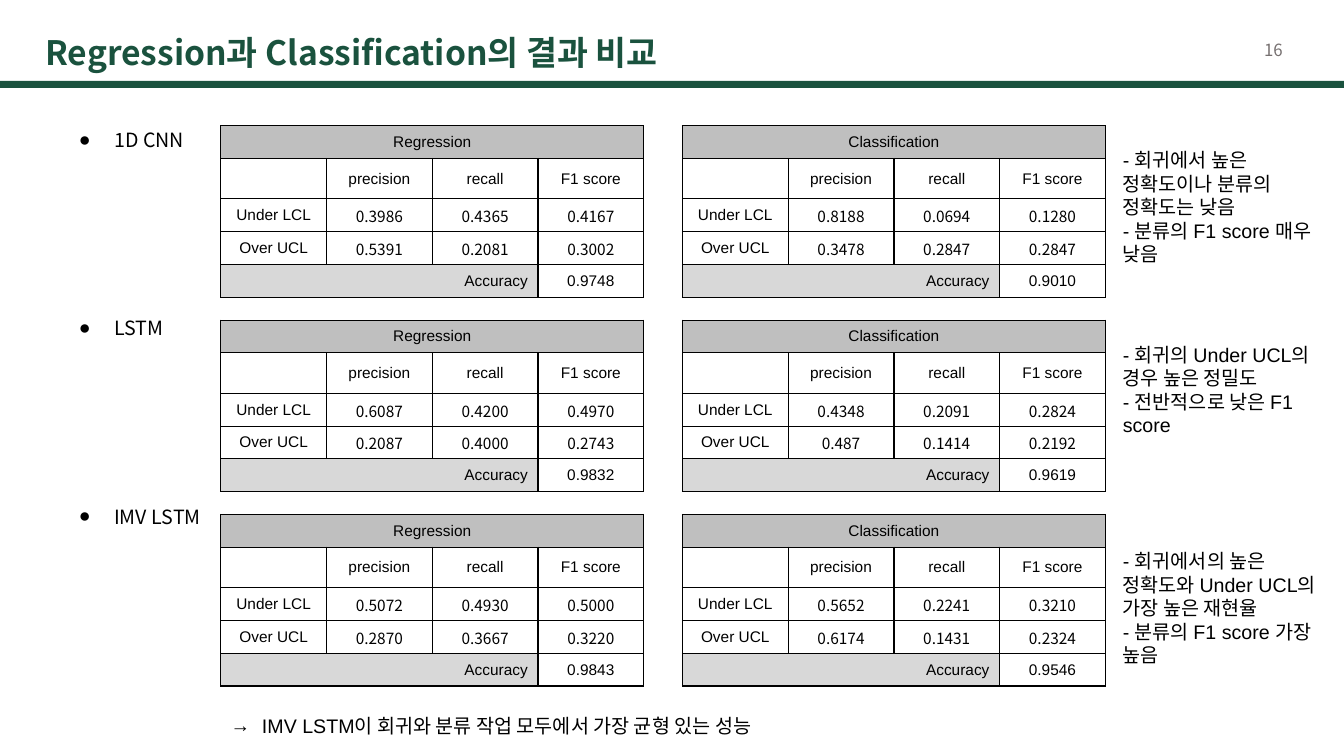
"""Build a slide comparing regression and classification results of three models."""
from lxml.etree import SubElement
from pptx import Presentation
from pptx.dml.color import RGBColor
from pptx.enum.shapes import MSO_SHAPE
from pptx.enum.text import MSO_ANCHOR, MSO_AUTO_SIZE, PP_ALIGN
from pptx.oxml import parse_xml
from pptx.oxml.ns import nsdecls, qn
from pptx.util import Inches, Pt

GREEN = RGBColor(0x1A, 0x52, 0x3E)
BLACK = RGBColor(0, 0, 0)
GREY = RGBColor(0x76, 0x70, 0x70)
HEAD = RGBColor(0xBF, 0xBF, 0xBF)
FOOT = RGBColor(0xD8, 0xD8, 0xD8)
NOTO, ARIAL = "Noto Sans CJK KR", "Arial"
WIDE, HIGH = Inches(13.333), Inches(7.5)


def place(left, top, width, height):
    """Turn percentages of the slide into lengths."""
    return [int(part * side / 100) for part, side in
            zip((left, top, width, height), (WIDE, HIGH, WIDE, HIGH))]


def write(para, text, size, face, color=BLACK, bold=False, mark=None, left=0, hang=0):
    """Add one run to a paragraph, with a bullet if a mark is given."""
    if mark:
        props = para._p.get_or_add_pPr()
        props.set("marL", str(Inches(left)))
        props.set("indent", str(-Inches(hang)))
        tint = SubElement(SubElement(props, qn("a:buClr")), qn("a:srgbClr"))
        tint.set("val", str(BLACK))
        SubElement(props, qn("a:buFont")).set("typeface", ARIAL)
        SubElement(props, qn("a:buChar")).set("char", mark)
    run = para.add_run()
    run.text = text
    run.font.size, run.font.bold = Pt(size), bold
    run.font.color.rgb = color
    run.font.name = face
    SubElement(run._r.get_or_add_rPr(), qn("a:ea")).set("typeface", NOTO)


MODELS = [
    ("1D CNN", (18.93, 17.07),
     ["- 회귀에서 높은 정확도이나 분류의 정확도는 낮음", "- 분류의 F1 score 매우 낮음"],
     [["0.3986", "0.4365", "0.4167", "0.5391", "0.2081", "0.3002", "0.9748"],
      ["0.8188", "0.0694", "0.1280", "0.3478", "0.2847", "0.2847", "0.9010"]]),
    ("LSTM", (44.67, 13.87),
     ["- 회귀의 Under UCL의 경우 높은 정밀도", "- 전반적으로 낮은 F1 score"],
     [["0.6087", "0.4200", "0.4970", "0.2087", "0.4000", "0.2743", "0.9832"],
      ["0.4348", "0.2091", "0.2824", "0.487", "0.1414", "0.2192", "0.9619"]]),
    ("IMV LSTM", (72, 17.07),
     ["- 회귀에서의 높은 정확도와 Under UCL의 가장 높은 재현율", "- 분류의 F1 score 가장 높음"],
     [["0.5072", "0.4930", "0.5000", "0.2870", "0.3667", "0.3220", "0.9843"],
      ["0.5652", "0.2241", "0.3210", "0.6174", "0.1431", "0.2324", "0.9546"]]),
]

deck = Presentation()
deck.slide_width, deck.slide_height = WIDE, HIGH
slide = deck.slides.add_slide(deck.slide_layouts[1])
shapes = slide.shapes

bar = shapes.add_shape(MSO_SHAPE.RECTANGLE, *place(0, 10.7, 100, 0.93))
bar.shadow.inherit = False
bar.fill.solid()
bar.fill.fore_color.rgb = GREEN
bar.line.fill.background()

page = shapes.add_textbox(*place(93.75, 5.2, 2.1, 3.33)).text_frame
page.margin_left = Inches(0.04)
page.margin_right = page.margin_top = page.margin_bottom = 0
write(page.paragraphs[0], "16", 12, NOTO, GREY)

title, body = shapes.title, slide.placeholders[1]
title.left, title.top, title.width, title.height = place(3.38, 4.13, 84.6, 5.6)
body.left, body.top, body.width, body.height = place(4, 15.6, 48.15, 80.13)
for frame, gap in ((title.text_frame, 0), (body.text_frame, Inches(0.1))):
    frame.auto_size = MSO_AUTO_SIZE.NONE
    frame.word_wrap = True
    frame.margin_left = frame.margin_right = gap
    frame.margin_top = frame.margin_bottom = gap
line = title.text_frame.paragraphs[0]
line.alignment = PP_ALIGN.LEFT
write(line, "Regression과 Classification의 결과 비교", 24, NOTO, GREEN, True)

for order, (model, (top, height), notes, scores) in enumerate(MODELS):
    frame = body.text_frame
    line = frame.add_paragraph() if order else frame.paragraphs[0]
    line.space_before = Pt(117.6 if order else 0)
    write(line, model, 14, NOTO, mark="●", left=0.5, hang=0.35)

    frame = shapes.add_textbox(*place(82.8, top, 16.8, height)).text_frame
    frame.word_wrap = True
    for index, note in enumerate(notes):
        line = frame.add_paragraph() if index else frame.paragraphs[0]
        write(line, note, 14, ARIAL)

    for left, task, vals in zip((16.43, 50.78), ("Regression", "Classification"), scores):
        rows = [[task, "", "", ""],
                ["", "precision", "recall", "F1 score"],
                ["Under LCL", *vals[:3]],
                ["Over UCL", *vals[3:6]],
                ["Accuracy", "", "", vals[6]]]
        spot = place(left, 16.62 + 25.72 * order, 31.47, 22.7)
        table = shapes.add_table(5, 4, *spot).table
        table.first_row = table.horz_banding = False
        for index, row in enumerate(table.rows):
            row.height = int(HIGH * (5.35 if index == 1 else 4.34) / 100)
        table.cell(0, 0).merge(table.cell(0, 3))
        table.cell(4, 0).merge(table.cell(4, 2))
        for down, texts in enumerate(rows):
            for across, text in enumerate(texts):
                cell = table.cell(down, across)
                cell.vertical_anchor = MSO_ANCHOR.MIDDLE
                score = down in (2, 3) and across > 0
                if score:
                    cell.margin_left = cell.margin_right = cell.margin_top = Inches(0.01)
                    cell.margin_bottom = 0
                if down == 0 or (down == 4 and across < 3):
                    cell.fill.solid()
                    cell.fill.fore_color.rgb = FOOT if down else HEAD
                else:
                    cell.fill.background()
                props = cell._tc.get_or_add_tcPr()
                for index, side in enumerate(("lnL", "lnR", "lnT", "lnB")):
                    props.insert(index, parse_xml(
                        f'<a:{side} {nsdecls("a")} w="{Pt(1)}"><a:solidFill>'
                        f'<a:srgbClr val="{BLACK}"/></a:solidFill></a:{side}>'))
                if text:
                    line = cell.text_frame.paragraphs[0]
                    line.alignment = PP_ALIGN.RIGHT if text == "Accuracy" else PP_ALIGN.CENTER
                    write(line, text, 11, NOTO if score else ARIAL)

frame = shapes.add_textbox(*place(16.43, 93.73, 65.78, 4.53)).text_frame
frame.word_wrap = True
write(frame.paragraphs[0], "IMV LSTM이 회귀와 분류 작업 모두에서 가장 균형 있는 성능",
      14, ARIAL, mark="→", left=0.31, hang=0.31)

deck.save("out.pptx")
